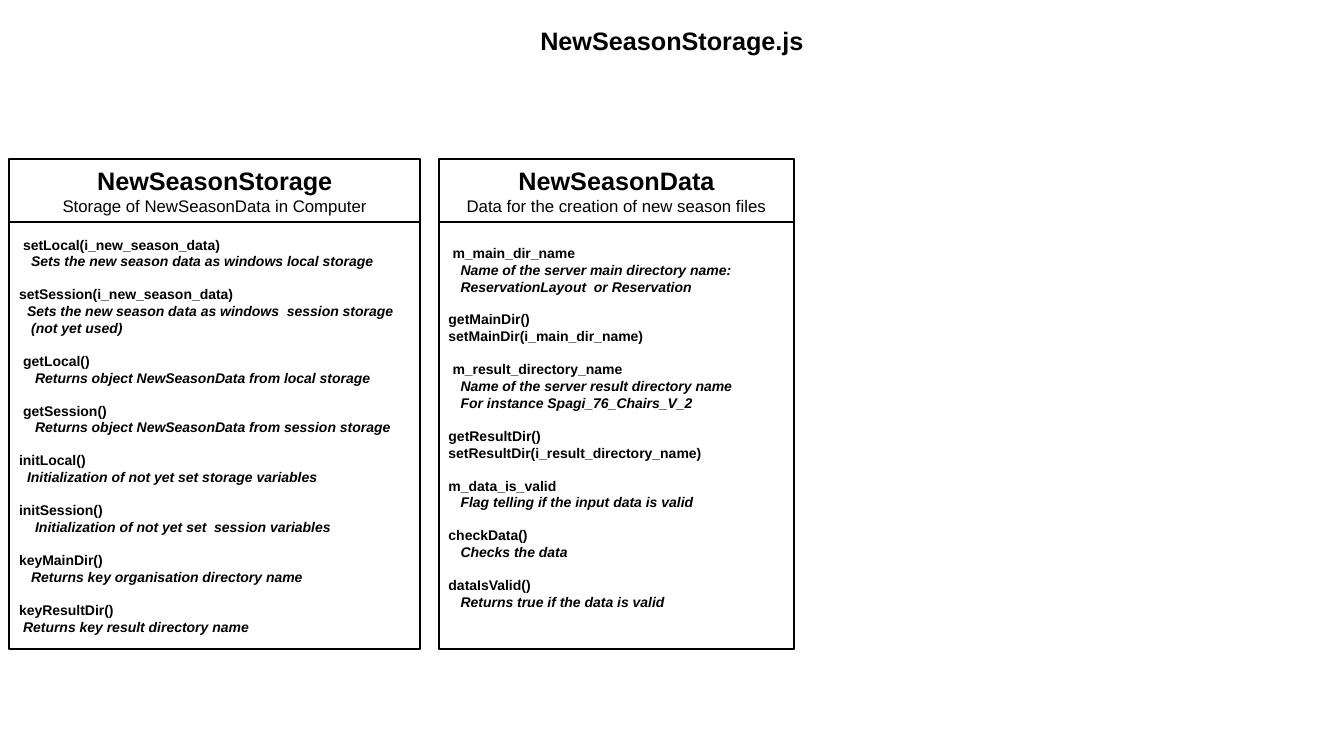
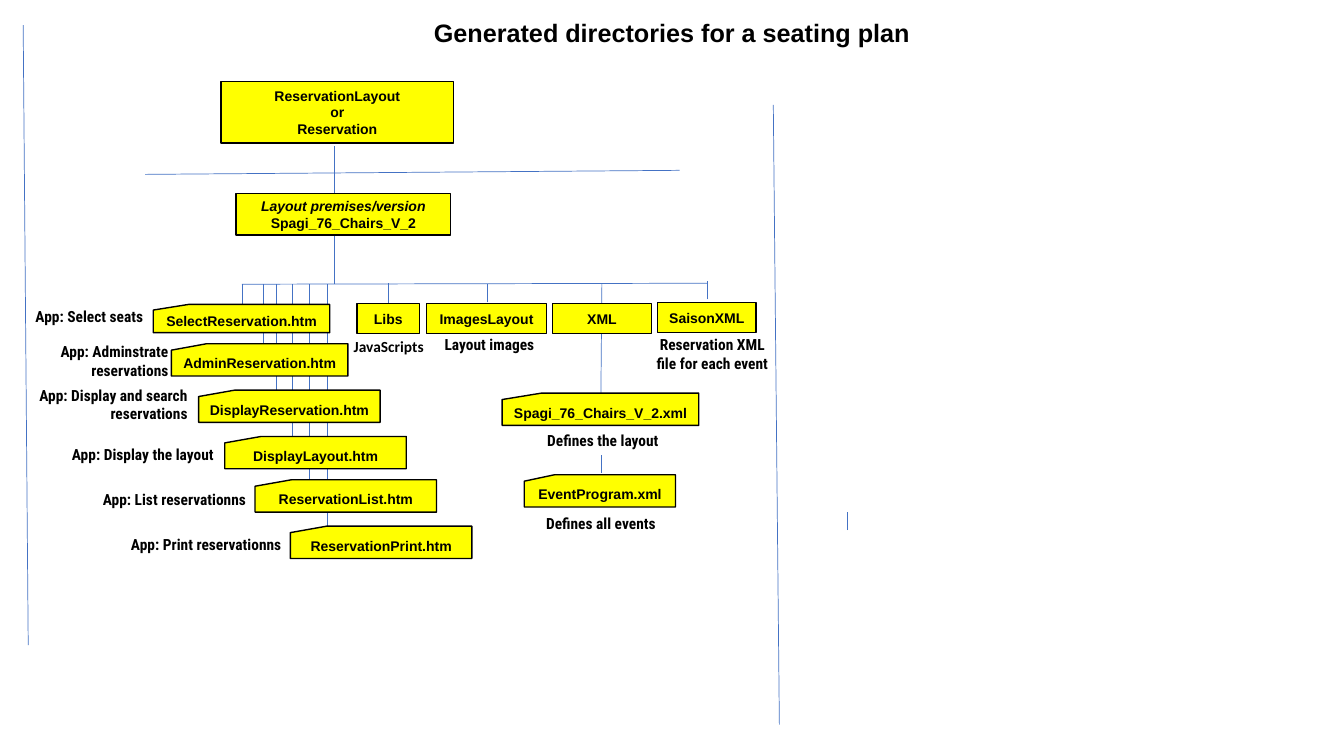
from pptx import Presentation
from pptx.dml.color import RGBColor
from pptx.enum.shapes import MSO_CONNECTOR, MSO_SHAPE
from pptx.enum.text import MSO_ANCHOR, MSO_AUTO_SIZE, PP_ALIGN
from pptx.oxml.ns import qn
from pptx.util import Inches, Pt
from lxml import etree

BLACK = RGBColor(0x00, 0x00, 0x00)
YELLOW = RGBColor(0xFF, 0xFF, 0x00)
BLUE = RGBColor(0x44, 0x72, 0xC4)
SPACE = 0.04  # width of one indent step, in inches
TITLE_ONLY = 5


def put_lines(frame, lines, size, font="Arial", align=PP_ALIGN.CENTER):
    """Write one bold black paragraph per line and return the paragraphs."""
    frame.word_wrap = True
    frame.text = "\n".join(lines)
    for paragraph in frame.paragraphs:
        paragraph.alignment = align
        for run in paragraph.runs:
            run.font.size = Pt(size)
            run.font.name = font
            run.font.bold = True
            run.font.color.rgb = BLACK
    return frame.paragraphs


def add_box(slide, kind, left, top, width, height, fill=None, line_width=1.0):
    """Add an outlined box, empty or filled, and return its text frame."""
    box = slide.shapes.add_shape(kind, Inches(left), Inches(top), Inches(width), Inches(height))
    box.shadow.inherit = False
    if fill is None:
        box.fill.background()
    else:
        box.fill.solid()
        box.fill.fore_color.rgb = fill
    box.line.color.rgb = BLACK
    box.line.width = Pt(line_width)
    box.text_frame.vertical_anchor = MSO_ANCHOR.MIDDLE
    return box.text_frame


prs = Presentation()
prs.slide_width, prs.slide_height = Inches(13.33), Inches(7.5)

# Both slides and their titles
slides = []
for heading, top in [("NewSeasonStorage.js", 0.2),
                     ("Generated directories for a seating plan", 0.12)]:
    slide = prs.slides.add_slide(prs.slide_layouts[TITLE_ONLY])
    title = slide.shapes.title
    title.left, title.top = Inches(0), Inches(top)
    title.width, title.height = Inches(13.33), Inches(0.4)
    title.text_frame.auto_size = MSO_AUTO_SIZE.NONE
    put_lines(title.text_frame, [heading], 18)
    slides.append(slide)
class_slide, directory_slide = slides

# Class members: each group holds its names and its notes as (indent steps, text)
storage_members = [
    ([(1, "setLocal(i_new_season_data)")],
     [(3, "Sets the new season data as windows local storage")]),
    ([(0, "setSession(i_new_season_data)")],
     [(2, "Sets the new season data as windows  session storage"), (3, "(not yet used)")]),
    ([(1, "getLocal()")], [(4, "Returns object NewSeasonData from local storage")]),
    ([(1, "getSession()")], [(4, "Returns object NewSeasonData from session storage")]),
    ([(0, "initLocal()")], [(2, "Initialization of not yet set storage variables")]),
    ([(0, "initSession()")], [(4, "Initialization of not yet set  session variables")]),
    ([(0, "keyMainDir()")], [(3, "Returns key organisation directory name")]),
    ([(0, "keyResultDir()")], [(1, "Returns key result directory name")]),
]
data_members = [
    ([(1, "m_main_dir_name")],
     [(3, "Name of the server main directory name:"), (3, "ReservationLayout  or Reservation")]),
    ([(0, "getMainDir()"), (0, "setMainDir(i_main_dir_name)")], []),
    ([(1, "m_result_directory_name")],
     [(3, "Name of the server result directory name"), (3, "For instance Spagi_76_Chairs_V_2")]),
    ([(0, "getResultDir()"), (0, "setResultDir(i_result_directory_name)")], []),
    ([(0, "m_data_is_valid")], [(3, "Flag telling if the input data is valid")]),
    ([(0, "checkData()")], [(3, "Checks the data")]),
    ([(0, "dataIsValid()")], [(3, "Returns true if the data is valid")]),
]

# Class boxes: left, width, bottom margin, name, purpose, members
classes = [
    (4.35, 3.53, 0.21, "NewSeasonData", "Data for the creation of new season files", data_members),
    (0.09, 4.08, 0.05, "NewSeasonStorage", "Storage of NewSeasonData in Computer", storage_members),
]
for left, width, bottom_margin, name, purpose, members in classes:
    header = add_box(class_slide, MSO_SHAPE.RECTANGLE, left, 1.58, width, 0.62, line_width=1.5)
    purpose_font = put_lines(header, [name, purpose], 18)[1].runs[0].font
    purpose_font.size = Pt(12)
    purpose_font.bold = False

    body = add_box(class_slide, MSO_SHAPE.RECTANGLE, left, 2.2, width, 4.24, line_width=1.5)
    body.margin_bottom = Inches(bottom_margin)
    rows = []
    for names, notes in members:
        rows += [(indent, text, False, i == 0) for i, (indent, text) in enumerate(names)]
        rows += [(indent, text, True, False) for indent, text in notes]
    paragraphs = put_lines(body, [row[1] for row in rows], 10, align=PP_ALIGN.LEFT)
    for i, (paragraph, row) in enumerate(zip(paragraphs, rows)):
        indent, _, is_note, starts_group = row
        paragraph.runs[0].font.italic = is_note
        if starts_group and i > 0:
            paragraph.space_before = Pt(11.5)
        properties = paragraph._p.get_or_add_pPr()
        properties.set("marL", str(Inches(indent * SPACE)))
        properties.set("indent", "0")

# App pages: card left, top, width, height, file, label lines, label right, label top, drop x
apps = [
    (1.52, 3.02, 1.75, 0.28, "SelectReservation.htm", ["App: Select seats"], 1.52, 3.0, 2.4),
    (1.7, 3.41, 1.75, 0.32, "AdminReservation.htm",
     ["App: Adminstrate", "reservations"], 1.77, 3.35, 2.61),
    (1.97, 3.87, 1.8, 0.32, "DisplayReservation.htm",
     ["App: Display and search", "reservations"], 1.96, 3.78, 2.74),
    (2.23, 4.33, 1.8, 0.32, "DisplayLayout.htm", ["App: Display the layout"], 2.22, 4.37, 2.9),
    (2.53, 4.76, 1.8, 0.32, "ReservationList.htm", ["App: List reservationns"], 2.54, 4.81, 3.07),
    (2.88, 5.22, 1.8, 0.32, "ReservationPrint.htm",
     ["App: Print reservationns"], 2.89, 5.26, 3.25),
]

# Connecting lines: x1, y1, x2, y2
lines = [
    (3.32, 2.82, 3.32, 1.45),  # trunk
    (2.4, 2.82, 7.02, 2.81),   # branch bar
    (1.44, 1.73, 6.74, 1.69),  # level divider
    (3.85, 3.01, 3.85, 2.81),
    (4.83, 3.0, 4.83, 2.82),
    (5.96, 3.9, 5.97, 2.81),
    (7.02, 2.97, 7.02, 2.79),
    (5.96, 4.69, 5.96, 4.51),
    (8.4, 5.26, 8.4, 5.08),
    (7.73, 7.19, 7.67, 1.04),  # right border
    (0.28, 6.4, 0.23, 0.25),   # left border
]
lines += [(app[-1], app[1], app[-1], 2.82) for app in apps]
for ends in lines:
    connector = directory_slide.shapes.add_connector(
        MSO_CONNECTOR.STRAIGHT, *[Inches(end) for end in ends])
    connector.line.color.rgb = BLUE
    connector.line.width = Pt(0.5)
    etree.SubElement(connector._element.spPr, qn("a:effectLst"))

# Directories (rectangles) and files (punched cards)
directories = [
    (2.19, 0.81, 2.31, 0.61, ["ReservationLayout", "or", "Reservation"]),
    (2.34, 1.92, 2.13, 0.41, ["Layout premises/version", "Spagi_76_Chairs_V_2"]),
    (3.54, 3.01, 0.62, 0.3, ["Libs"]),
    (4.23, 3.01, 1.19, 0.3, ["ImagesLayout"]),
    (5.48, 3.01, 0.98, 0.3, ["XML"]),
    (6.52, 3.0, 0.98, 0.3, ["SaisonXML"]),
]
files = [(*app[:4], [app[4]]) for app in apps] + [
    (4.98, 3.9, 1.95, 0.32, ["Spagi_76_Chairs_V_2.xml"]),
    (5.2, 4.71, 1.5, 0.32, ["EventProgram.xml"]),
]
for kind, nodes in [(MSO_SHAPE.RECTANGLE, directories),
                    (MSO_SHAPE.FLOWCHART_CARD, files)]:
    for left, top, width, height, text in nodes:
        frame = add_box(directory_slide, kind, left, top, width, height, YELLOW)
        first = put_lines(frame, text, 10)[0]
        first.runs[0].font.italic = text[0].startswith("Layout premises")

# Captions: left, top, width, lines, font, alignment
CONDENSED = "Roboto Condensed"
captions = [
    (3.41, 3.29, 0.9, ["JavaScripts"], "Calibri", PP_ALIGN.LEFT),
    (4.24, 3.28, 1.23, ["Layout images"], CONDENSED, PP_ALIGN.CENTER),
    (6.34, 3.28, 1.45, ["Reservation XML", "file for each event"], CONDENSED, PP_ALIGN.CENTER),
    (5.24, 4.23, 1.48, ["Defines the layout"], CONDENSED, PP_ALIGN.CENTER),
    (5.22, 5.05, 1.48, ["Defines all events"], CONDENSED, PP_ALIGN.CENTER),
]
captions += [(0.1, top, right - 0.1, label, CONDENSED, PP_ALIGN.RIGHT)
             for *_, label, right, top, _ in apps]
for left, top, width, text, font, align in captions:
    caption = directory_slide.shapes.add_textbox(
        Inches(left), Inches(top), Inches(width), Inches(0.11 + 0.18 * len(text)))
    put_lines(caption.text_frame, text, 11, font, align)

prs.save("out.pptx")
